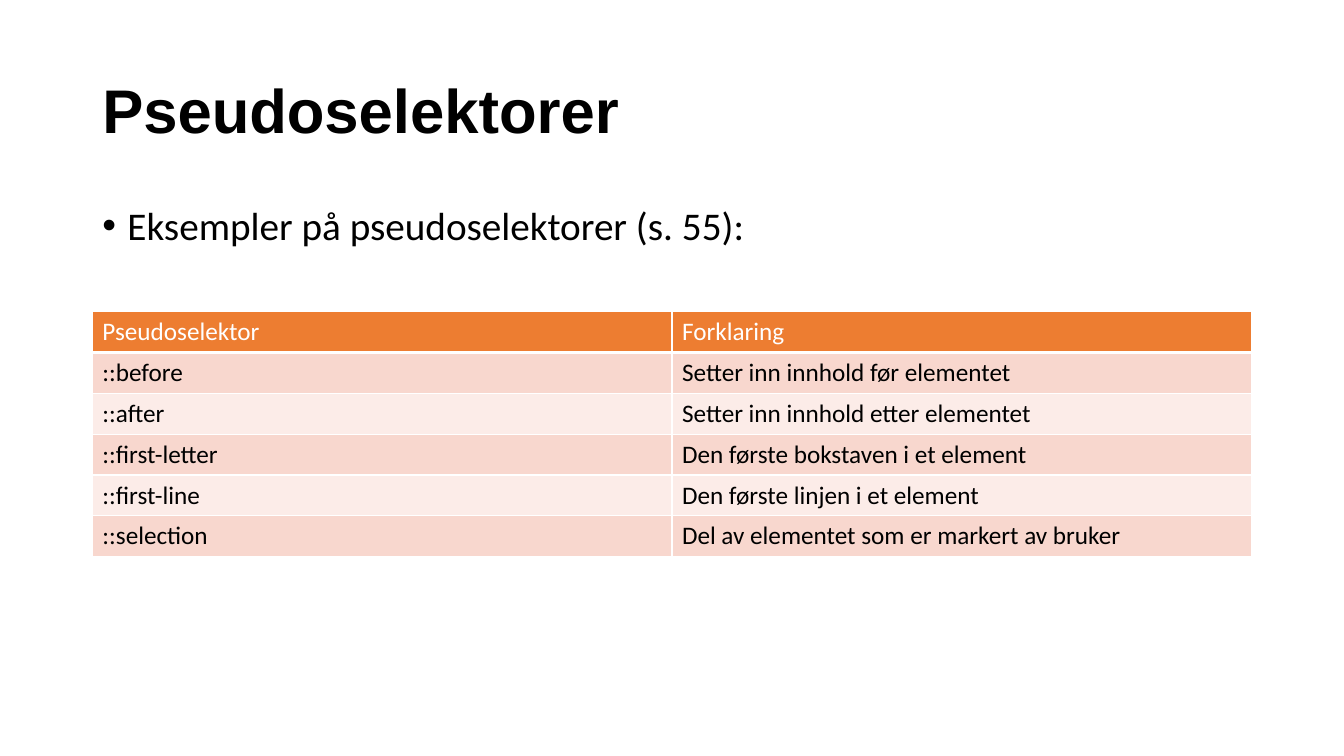
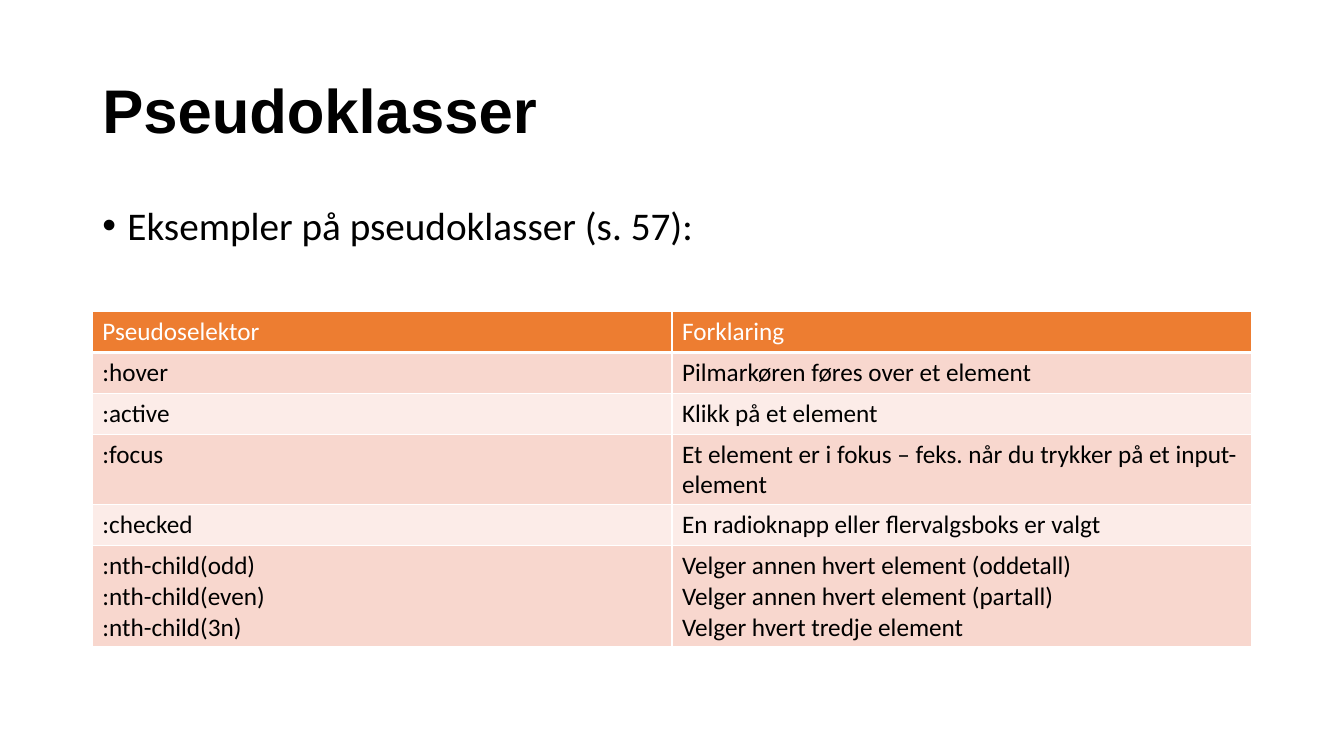
from lxml.etree import SubElement
from pptx import Presentation
from pptx.dml.color import RGBColor
from pptx.enum.text import MSO_ANCHOR as Anchor
from pptx.oxml.ns import qn
from pptx.util import Pt

BLACK = RGBColor(0x00, 0x00, 0x00)
WHITE = RGBColor(0xFF, 0xFF, 0xFF)
HEADER_ORANGE = RGBColor(0xED, 0x7D, 0x31)
BAND_DARK = RGBColor(0xF8, 0xD7, 0xCE)
BAND_LIGHT = RGBColor(0xFC, 0xEC, 0xE8)

HEADING_FONT = "Arial"
BODY_FONT = "Calibri"
LEFT, WIDTH = Pt(66), Pt(828)
ROW_HEIGHT = Pt(29.2)
BULLET_INDENT = Pt(18)

HEADER = ("Pseudoselektor", "Forklaring")
SELECTORS = [
    ("::before", "Setter inn innhold før elementet"),
    ("::after", "Setter inn innhold etter elementet"),
    ("::first-letter", "Den første bokstaven i et element"),
    ("::first-line", "Den første linjen i et element"),
    ("::selection", "Del av elementet som er markert av bruker"),
]
CLASSES = [
    (":hover", "Pilmarkøren føres over et element"),
    (":active", "Klikk på et element"),
    (":focus", "Et element er i fokus – feks. når du trykker på et input-element"),
    (":checked", "En radioknapp eller flervalgsboks er valgt"),
    (
        ":nth-child(odd)\n:nth-child(even)\n:nth-child(3n)",
        "Velger annen hvert element (oddetall)\n"
        "Velger annen hvert element (partall)\n"
        "Velger hvert tredje element",
    ),
]


def add_bullet(paragraph):
    properties = paragraph._p.get_or_add_pPr()
    properties.set("marL", str(BULLET_INDENT))
    properties.set("indent", str(-BULLET_INDENT))
    SubElement(properties, qn("a:buFont"), typeface="Arial")
    SubElement(properties, qn("a:buChar"), char="•")


def write_text(frame, text, *, size, font=BODY_FONT, color=BLACK, bold=False,
               bullet=False, line_spacing=None):
    for index, line in enumerate(text.split("\n")):
        paragraph = frame.add_paragraph() if index else frame.paragraphs[0]
        if bullet:
            add_bullet(paragraph)
        paragraph.line_spacing = line_spacing
        run = paragraph.add_run()
        run.text = line
        run.font.size = Pt(size)
        run.font.name = font
        run.font.bold = bold
        run.font.color.rgb = color


def add_text(slide, text, top, height, *, anchor=Anchor.TOP, **text_format):
    frame = slide.shapes.add_textbox(LEFT, top, WIDTH, height).text_frame
    frame.word_wrap = True
    frame.vertical_anchor = anchor
    write_text(frame, text, line_spacing=0.9, **text_format)


def set_borders(cell, bottom_width):
    properties = cell._tc.get_or_add_tcPr()
    widths = {"a:lnL": 1, "a:lnR": 1, "a:lnT": 1, "a:lnB": bottom_width}
    for side, width in widths.items():
        border = SubElement(properties, qn(side), w=str(Pt(width)))
        fill = SubElement(border, qn("a:solidFill"))
        SubElement(fill, qn("a:srgbClr"), val=str(WHITE))


def add_definitions(slide, definitions):
    rows = [HEADER, *definitions]
    table = slide.shapes.add_table(
        len(rows), len(HEADER), LEFT, Pt(222.5), WIDTH, ROW_HEIGHT * len(rows)
    ).table
    for row_index, row in enumerate(rows):
        is_header = row_index == 0
        band = BAND_DARK if row_index % 2 else BAND_LIGHT
        for column_index, text in enumerate(row):
            cell = table.cell(row_index, column_index)
            set_borders(cell, 3 if is_header else 1)
            cell.fill.solid()
            cell.fill.fore_color.rgb = HEADER_ORANGE if is_header else band
            write_text(cell.text_frame, text, size=18,
                       color=WHITE if is_header else BLACK)


def add_topic(deck, title, intro, definitions):
    slide = deck.slides.add_slide(deck.slide_layouts[6])
    add_text(slide, title, Pt(28.75), Pt(104.4), anchor=Anchor.MIDDLE,
             size=44, font=HEADING_FONT, bold=True)
    add_definitions(slide, definitions)
    add_text(slide, intro, Pt(143.75), Pt(342.6), size=28, bullet=True)


def main():
    deck = Presentation()
    deck.slide_width, deck.slide_height = Pt(960), Pt(540)
    add_topic(deck, "Pseudoselektorer",
              "Eksempler på pseudoselektorer (s. 55):", SELECTORS)
    add_topic(deck, "Pseudoklasser",
              "Eksempler på pseudoklasser (s. 57):", CLASSES)
    deck.save("out.pptx")


if __name__ == "__main__":
    main()
